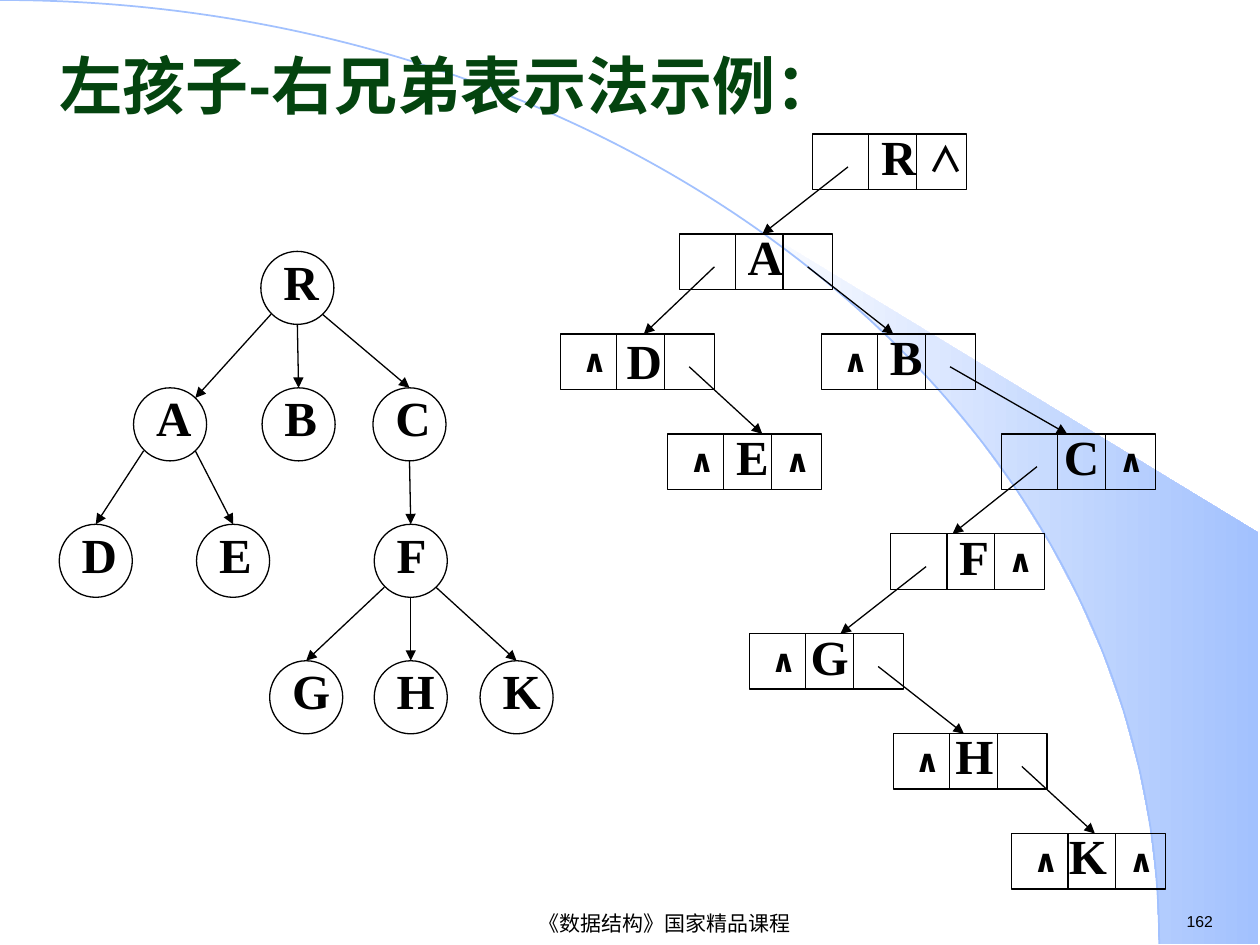
from dataclasses import dataclass
from math import asin, cos, pi, sin

from pptx import Presentation
from pptx.dml.color import RGBColor
from pptx.enum.shapes import MSO_CONNECTOR as Conn, MSO_SHAPE as Shape
from pptx.enum.text import MSO_ANCHOR as Anchor, MSO_AUTO_SIZE as AutoSize, PP_ALIGN as Align
from pptx.oxml.ns import qn
from pptx.util import Inches, Pt
from lxml.etree import SubElement

COLORS = {"ink": "000000", "title": "04440F", "sky": "A2C1FE", "white": "FFFFFF"}
LETTER_FONT, MARK_FONT, BODY_FONT = "Times New Roman", "Cabin", "Arial"
LETTER_W = {"R": 0.48, "A": 0.48, "B": 0.46, "C": 0.48, "D": 0.48,
            "E": 0.46, "F": 0.44, "G": 0.5, "H": 0.5, "K": 0.5}
CIRCLE = 0.58
TREE_TOP, TREE_STEP = 1.995, 1.083
CELL_W, CELL_H, DATA_X, DATA_W = 1.22, 0.44, 0.445, 0.38
STORE_TOP, STORE_STEP = 1.065, 0.793
ARC_W, ARC_H = 9.2, 7.49


@dataclass
class TreeNode:
    x: float
    level: int
    entry: tuple[float, float] = (CIRCLE / 2, 0)

    @property
    def y(self) -> float:
        return TREE_TOP + self.level * TREE_STEP


@dataclass
class StoreNode:
    x: float
    row: int
    entry: float = 0
    letter_dx: float = 0
    left: str = ""
    right: str = ""
    letter_dy: float = -0.11

    @property
    def y(self) -> float:
        return STORE_TOP + self.row * STORE_STEP


TREE = {
    "R": TreeNode(2.07, 0),
    "A": TreeNode(1.06, 1, (0.49, 0.08)), "B": TreeNode(2.08, 1), "C": TreeNode(2.96, 1),
    "D": TreeNode(0.47, 2), "E": TreeNode(1.56, 2), "F": TreeNode(2.97, 2),
    "G": TreeNode(2.14, 3), "H": TreeNode(2.97, 3), "K": TreeNode(3.81, 3),
}
EXITS = {"left": (0.08, 0.5), "down": (0.29, 0.58), "right": (0.49, 0.5)}
TREE_LINKS = [("R", "A", "left"), ("R", "B", "down"), ("R", "C", "right"),
              ("A", "D", "left"), ("A", "E", "right"), ("C", "F", "down"),
              ("F", "G", "left"), ("F", "H", "down"), ("F", "K", "right")]

STORE = {
    "R": StoreNode(6.45, 0),
    "A": StoreNode(5.39, 1, 0.66),
    "D": StoreNode(4.45, 2, 0.66, -0.02, left="∧", letter_dy=-0.08),
    "B": StoreNode(6.52, 2, 0.57, left="∧"),
    "E": StoreNode(5.3, 3, 0.75, left="∧", right="∧"),
    "C": StoreNode(7.95, 3, 0.52, -0.05, right="∧"),
    "F": StoreNode(7.07, 4, 0.49, right="∧"),
    "G": StoreNode(5.95, 5, 0.72, -0.06, left="∧"),
    "H": StoreNode(7.09, 6, 0.56, -0.05, left="∧"),
    "K": StoreNode(8.03, 7, 0.66, -0.09, left="∧", right="∧"),
}
FIRST_CHILD, NEXT_SIBLING = 0.28, 1.02
STORE_LINKS = [("R", "A", FIRST_CHILD), ("A", "D", FIRST_CHILD), ("A", "B", NEXT_SIBLING),
               ("D", "E", NEXT_SIBLING), ("B", "C", NEXT_SIBLING), ("C", "F", FIRST_CHILD),
               ("F", "G", FIRST_CHILD), ("G", "H", NEXT_SIBLING), ("H", "K", NEXT_SIBLING)]


def color(name: str) -> RGBColor:
    return RGBColor.from_string(COLORS[name])


def set_font(p, size: float, face: str, ink: str = "ink", bold: bool = False) -> None:
    font = p.font
    font.size, font.bold, font.name = Pt(size), bold, face
    font.color.rgb = color(ink)
    SubElement(font._element, qn("a:ea")).set("typeface", face)


def add_text(shapes, text: str, x: float, y: float, w: float, h: float, size: float,
             face: str, bold: bool = True, align=Align.LEFT, anchor=Anchor.TOP) -> None:
    tf = shapes.add_textbox(Inches(x), Inches(y), Inches(w), Inches(h)).text_frame
    tf.word_wrap = False
    tf.vertical_anchor = anchor
    p = tf.paragraphs[0]
    p.text, p.alignment = text, align
    set_font(p, size, face, bold=bold)


def add_letter(shapes, letter: str, x: float, y: float) -> None:
    add_text(shapes, letter, x, y, LETTER_W[letter], 0.57, 28, LETTER_FONT)


def add_outline(shapes, kind, x: float, y: float, w: float, h: float) -> None:
    sp = shapes.add_shape(kind, Inches(x), Inches(y), Inches(w), Inches(h))
    sp.shadow.inherit = False
    sp.fill.background()
    sp.line.color.rgb = color("ink")
    sp.line.width = Pt(0.75)


def add_arrow(shapes, x1: float, y1: float, x2: float, y2: float) -> None:
    line = shapes.add_connector(Conn.STRAIGHT, Inches(x1), Inches(y1), Inches(x2), Inches(y2))
    line.line.color.rgb = color("ink")
    line.line.width = Pt(0.75)
    SubElement(line.line._get_or_add_ln(), qn("a:tailEnd")).set("type", "triangle")
    SubElement(line._element.spPr, qn("a:effectLst"))


def arc_points(start: float, count: int) -> list[tuple[float, float]]:
    angles = [start + (pi / 2 - start) * i / count for i in range(count + 1)]
    return [(ARC_W * sin(a), ARC_H * (1 - cos(a))) for a in angles]


def add_freeform(shapes, points: list[tuple[float, float]], close: bool):
    first, *rest = [(Inches(x), Inches(y)) for x, y in points]
    builder = shapes.build_freeform(*first)
    builder.add_line_segments(rest, close=close)
    sp = builder.convert_to_shape()
    sp.shadow.inherit = False
    return sp


def add_background(shapes) -> None:
    corners = [(9.99, ARC_H), (9.99, 4.23)]
    wedge = add_freeform(shapes, corners + arc_points(asin(5.89 / ARC_W), 14), True)
    wedge.line.fill.background()
    wedge.fill.gradient()
    wedge.fill.gradient_angle = 0
    for stop, name in zip(wedge.fill.gradient_stops, ("white", "sky")):
        stop.color.rgb = color(name)
    arc = add_freeform(shapes, [(0, 0), (5.08, 0), (ARC_W, 3.35), (ARC_W, ARC_H)], False)
    outline = arc._element.find(".//" + qn("a:path"))
    segments = outline.findall(qn("a:lnTo"))
    curve = SubElement(outline, qn("a:cubicBezTo"))
    for segment in segments:
        curve.append(segment[0])
        outline.remove(segment)
    arc.fill.background()
    arc.line.color.rgb = color("sky")
    arc.line.width = Pt(1)


def add_title(shapes) -> None:
    title = shapes.title
    shapes._spTree.append(title._element)
    title.left, title.top, title.width, title.height = map(Inches, (0.37, 0.32, 6.6, 0.7))
    tf = title.text_frame
    tf.word_wrap, tf.auto_size, tf.vertical_anchor = True, AutoSize.NONE, Anchor.TOP
    p = tf.paragraphs[0]
    p.text, p.alignment = "左孩子-右兄弟表示法示例：", Align.LEFT
    p._p.get_or_add_pPr().set("hangingPunct", "0")
    set_font(p, 36, "Noto Sans CJK SC", "title", True)


def add_tree(shapes) -> None:
    for letter, node in TREE.items():
        add_outline(shapes, Shape.OVAL, node.x, node.y, CIRCLE, CIRCLE)
        add_letter(shapes, letter, node.x + 0.08, node.y - 0.05)
    for parent, child, side in TREE_LINKS:
        a, b = TREE[parent], TREE[child]
        dx, dy = EXITS[side]
        add_arrow(shapes, a.x + dx, a.y + dy, b.x + b.entry[0], b.y + b.entry[1])


def add_store(shapes) -> None:
    for letter, node in STORE.items():
        add_outline(shapes, Shape.RECTANGLE, node.x, node.y, CELL_W, CELL_H)
        add_outline(shapes, Shape.RECTANGLE, node.x + DATA_X, node.y, DATA_W, CELL_H)
        add_letter(shapes, letter, node.x + DATA_X + node.letter_dx, node.y + node.letter_dy)
        for mark, dx in ((node.left, 0.07), (node.right, 0.83)):
            if mark:
                add_text(shapes, mark, node.x + dx, node.y + 0.01, 0.45, 0.4, 18, MARK_FONT)
    root = STORE["R"]
    add_text(shapes, "∧", root.x + 0.82, root.y - 0.02, 0.48, 0.44, 20, "Noto Sans CJK JP")
    for parent, child, dx in STORE_LINKS:
        a, b = STORE[parent], STORE[child]
        add_arrow(shapes, a.x + dx, a.y + 0.26, b.x + b.entry, b.y)


def main() -> None:
    prs = Presentation()
    prs.slide_width, prs.slide_height = Inches(10), Inches(7.5)
    shapes = prs.slides.add_slide(prs.slide_layouts[5]).shapes
    add_background(shapes)
    add_text(shapes, "162", 9.32, 7.19, 0.77, 0.25, 9, BODY_FONT, bold=False)
    add_text(shapes, "《数据结构》国家精品课程", 2.4, 7.21, 5.75, 0.24, 12, BODY_FONT,
             bold=False, align=Align.CENTER, anchor=Anchor.MIDDLE)
    add_tree(shapes)
    add_store(shapes)
    add_title(shapes)
    prs.save("out.pptx")


if __name__ == "__main__":
    main()
